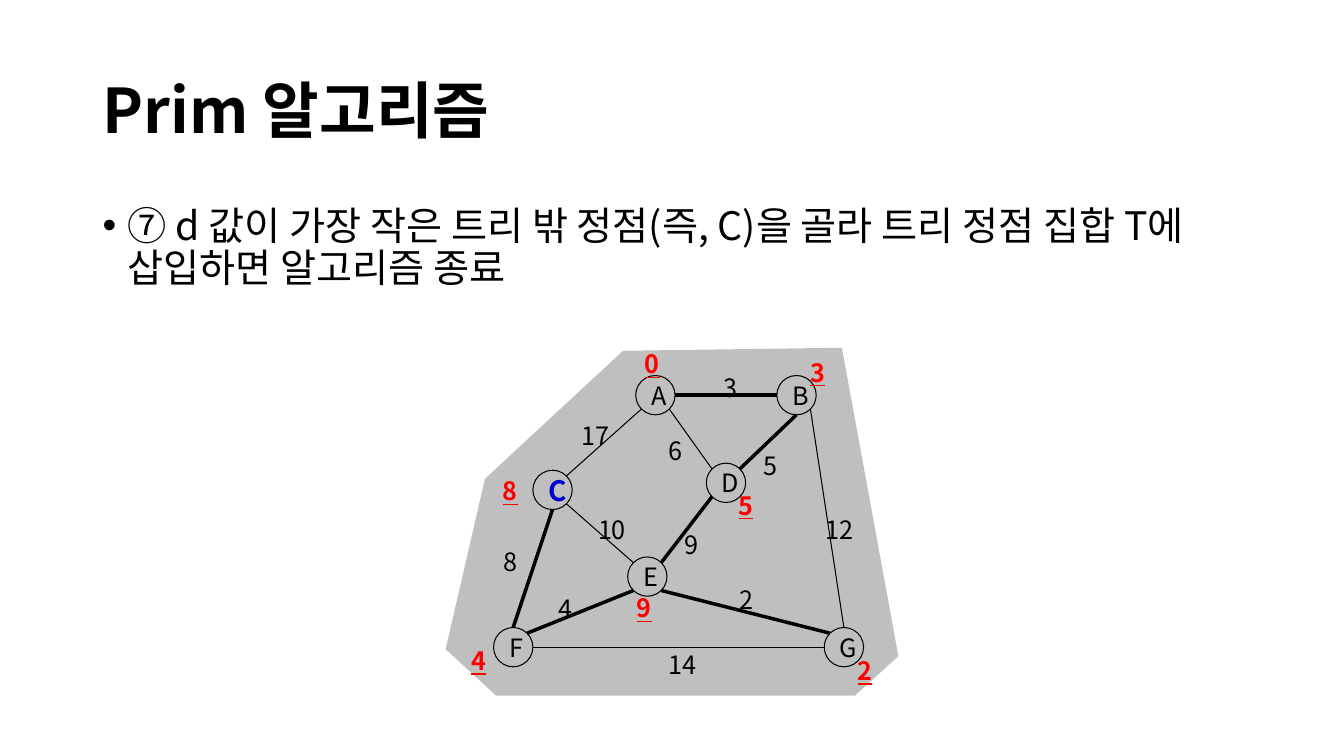
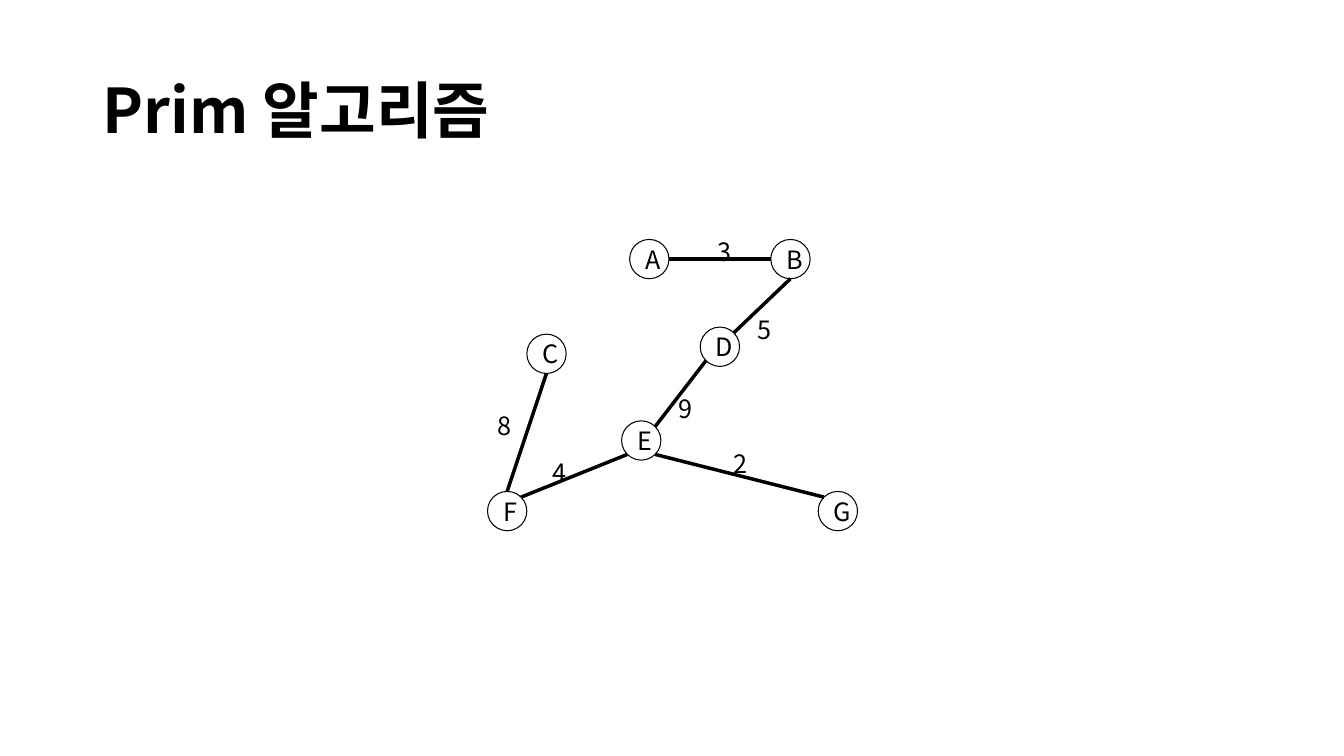
import math
from dataclasses import dataclass

import pptx
import pptx.util
import pptx.dml.color
import pptx.enum.shapes
import pptx.enum.text
import pptx.oxml.ns
from lxml import etree

Inches, Pt = pptx.util.Inches, pptx.util.Pt
ANCHOR = pptx.enum.text.MSO_ANCHOR
ALIGN = pptx.enum.text.PP_ALIGN
qn = pptx.oxml.ns.qn


@dataclass(frozen=True)
class Theme:
    font: str = "Noto Sans CJK KR"
    ink: str = "000000"
    tree_area: str = "BFBFBF"
    distance: str = "FF0000"
    picked: str = "0000CC"
    title_size: int = 44
    body_size: int = 28
    picked_size: int = 20
    label_size: int = 18
    thin: float = 0.75
    thick: float = 2.5


T = Theme()

# Content
TITLE = "Prim 알고리즘"
STEP = "⑦ d 값이 가장 작은 트리 밖 정점(즉, C)을 골라 트리 정점 집합 T에 삽입하면 알고리즘 종료"

# Vertex: centre, distance value, centre of that value
VERTICES = {
    "A": ((6.5, 3.92), "0", (6.47, 3.61)),
    "B": ((7.9, 3.92), "3", (8.11, 3.69)),
    "C": ((5.48, 4.86), "8", (5.06, 4.87)),
    "D": ((7.2, 4.79), "5", (7.4, 5.01)),
    "E": ((6.42, 5.72), "9", (6.39, 6.03)),
    "F": ((5.09, 6.42), "4", (4.75, 6.55)),
    "G": ((8.37, 6.42), "2", (8.58, 6.65)),
}
# Edge: vertex and side at both ends, weight, weight centre, in the tree
EDGES = [
    ("A", "E", "B", "W", "3", (7.25, 3.84), True),
    ("A", "SW", "C", "NE", "17", (5.91, 4.32), False),
    ("A", "SE", "D", "NW", "6", (6.7, 4.47), False),
    ("B", "S", "D", "NE", "5", (7.64, 4.62), True),
    ("B", "SE", "G", "N", "12", (8.33, 5.25), False),
    ("D", "SW", "E", "NE", "9", (6.86, 5.4), True),
    ("C", "SE", "E", "NW", "10", (6.07, 5.25), False),
    ("C", "S", "F", "N", "8", (5.06, 5.57), True),
    ("F", "E", "G", "W", "14", (6.77, 6.59), False),
    ("E", "SE", "G", "NW", "2", (7.4, 5.95), True),
    ("E", "SW", "F", "NE", "4", (5.61, 6.04), True),
]
TREE_AREA = [(6.18, 3.48), (4.81, 4.75), (4.42, 6.44), (4.92, 6.9),
             (8.48, 6.9), (8.91, 6.51), (8.35, 3.45)]

# Geometry
DIAMETER = 0.39
LABEL_W, LABEL_H = 0.5, 0.4
SIDES = ["E", "SE", "S", "SW", "W", "NW", "N", "NE"]
RESULT_SHIFT = (-0.06, -1.35)


def rgb(value):
    return pptx.dml.color.RGBColor.from_string(value)


def style(p, size, color=T.ink, bold=False, underline=False):
    for r in p.runs:
        f = r.font
        f.name, f.size, f.bold, f.underline = T.font, Pt(size), bold, underline
        f.color.rgb = rgb(color)
        etree.SubElement(f._element, qn("a:ea")).set("typeface", T.font)


def add_text(s, at, text, anchor=ANCHOR.TOP):
    tf = s.shapes.add_textbox(*map(Inches, at)).text_frame
    tf.word_wrap = True
    tf.vertical_anchor = anchor
    tf.text = text
    return tf, tf.paragraphs[0]


def add_title(s):
    _, p = add_text(s, (0.92, 0.4, 11.5, 1.45), TITLE, ANCHOR.MIDDLE)
    p.line_spacing = 0.9
    style(p, T.title_size, bold=True)


def add_step(s):
    _, p = add_text(s, (0.92, 2, 11.5, 1.2), STEP)
    p.line_spacing = 0.9
    pPr = p._p.get_or_add_pPr()
    pPr.set("marL", str(Inches(0.25)))
    pPr.set("indent", str(-Inches(0.25)))
    etree.SubElement(pPr, qn("a:buFont")).set("typeface", "Arial")
    etree.SubElement(pPr, qn("a:buChar")).set("char", "•")
    style(p, T.body_size)


def add_label(s, center, text, **look):
    x, y = center
    tf, p = add_text(s, (x - LABEL_W / 2, y - LABEL_H / 2, LABEL_W, LABEL_H),
                     text, ANCHOR.MIDDLE)
    tf.margin_left = tf.margin_right = tf.margin_top = tf.margin_bottom = 0
    p.alignment = ALIGN.CENTER
    style(p, T.label_size, **look)


def add_tree_area(s):
    points = [(Inches(x), Inches(y)) for x, y in TREE_AREA]
    fb = s.shapes.build_freeform(*points[0], scale=1.0)
    fb.add_line_segments(points[1:], close=True)
    sp = fb.convert_to_shape()
    sp.shadow.inherit = False
    sp.fill.solid()
    sp.fill.fore_color.rgb = rgb(T.tree_area)
    sp.line.fill.background()


def add_vertex(s, center, name, picked):
    x, y = center
    sp = s.shapes.add_shape(
        pptx.enum.shapes.MSO_SHAPE.OVAL,
        Inches(x - DIAMETER / 2), Inches(y - DIAMETER / 2),
        Inches(DIAMETER), Inches(DIAMETER))
    sp.shadow.inherit = False
    sp.fill.background()
    sp.line.color.rgb = rgb(T.ink)
    sp.line.width = Pt(T.thin)
    tf = sp.text_frame
    tf.vertical_anchor = ANCHOR.MIDDLE
    tf.text = name
    p = tf.paragraphs[0]
    p.alignment = ALIGN.CENTER
    if picked:
        style(p, T.picked_size, T.picked, bold=True)
    else:
        style(p, T.label_size)


def rim(center, side):
    angle = SIDES.index(side) * math.pi / 4
    return (Inches(center[0] + DIAMETER / 2 * math.cos(angle)),
            Inches(center[1] + DIAMETER / 2 * math.sin(angle)))


def add_edge(s, start, end, width):
    line = s.shapes.add_connector(
        pptx.enum.shapes.MSO_CONNECTOR.STRAIGHT, *start, *end)
    line.line.color.rgb = rgb(T.ink)
    line.line.width = Pt(width)
    etree.SubElement(line._element.spPr, qn("a:effectLst"))


def add_graph(s, shift=(0, 0), tree_only=False, picked=None):
    def moved(point):
        return point[0] + shift[0], point[1] + shift[1]

    edges = [e for e in EDGES if e[-1] or not tree_only]
    centers = {name: moved(v[0]) for name, v in VERTICES.items()}
    for name, center in centers.items():
        add_vertex(s, center, name, name == picked)
    for a, a_side, b, b_side, _, _, in_tree in edges:
        add_edge(s, rim(centers[a], a_side), rim(centers[b], b_side),
                 T.thick if in_tree else T.thin)
    for *_, weight, at, _ in edges:
        add_label(s, moved(at), weight)


def main():
    prs = pptx.Presentation()
    prs.slide_width, prs.slide_height = Inches(13.33), Inches(7.5)
    blank = prs.slide_layouts[6]

    # Last step: C joins the tree
    s = prs.slides.add_slide(blank)
    add_title(s)
    add_step(s)
    add_tree_area(s)
    add_graph(s, picked="C")
    for _, distance, at in VERTICES.values():
        add_label(s, at, distance, color=T.distance, bold=True, underline=True)

    # Resulting spanning tree
    s = prs.slides.add_slide(blank)
    add_title(s)
    add_graph(s, RESULT_SHIFT, tree_only=True)

    prs.save("out.pptx")


if __name__ == "__main__":
    main()
